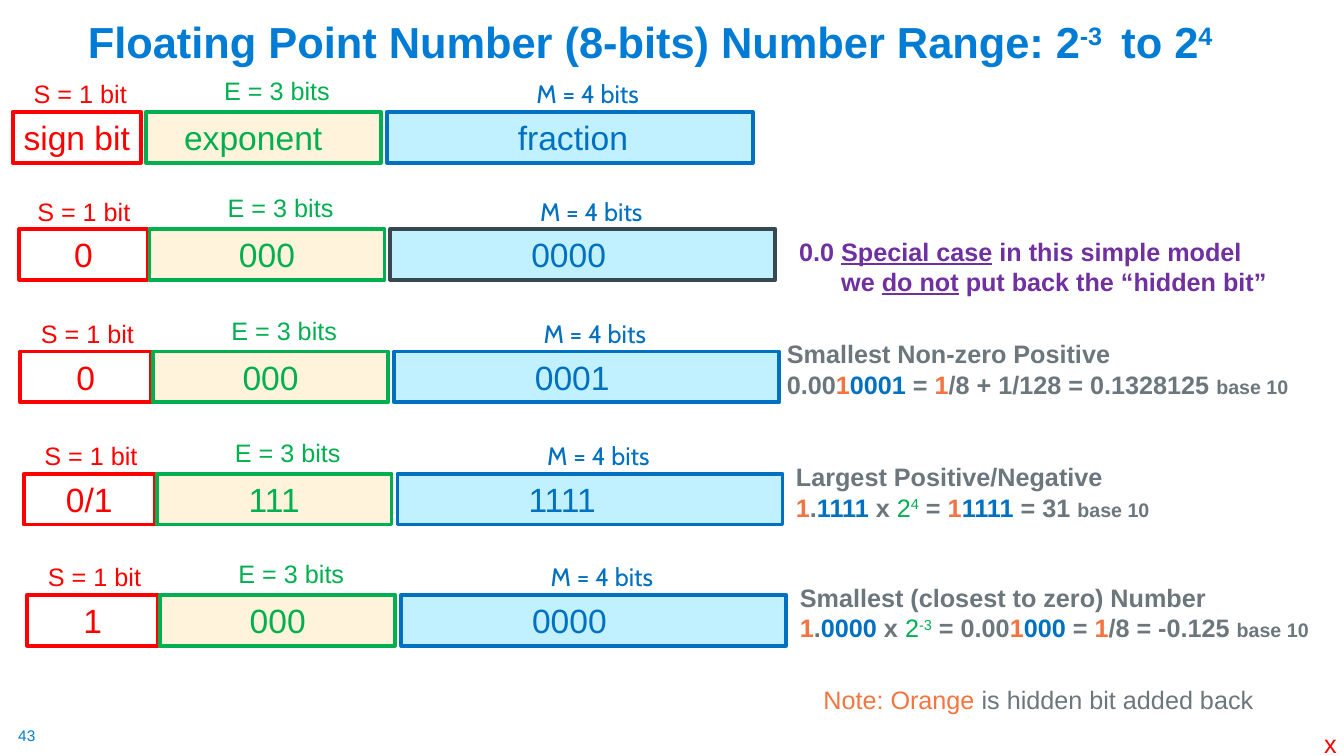
from pptx import Presentation
from pptx.dml.color import RGBColor
from pptx.enum.shapes import MSO_SHAPE
from pptx.enum.text import MSO_ANCHOR, MSO_AUTO_SIZE, PP_ALIGN
from pptx.util import Cm, Pt

RED, GREEN, BLUE = "FF0000", "00B050", "0070C0"
ORANGE, GRAY, PURPLE, TITLE_BLUE = "F37440", "6B767D", "7030A0", "007CD5"
CREAM, SKY, SLATE = "FFF4DB", "C1F0FF", "384851"
FIELD_HEIGHT = 1.28
EXPONENT_WIDTH = 5.92
UNDERLINE = {"underline": True}
SMALL = ("base 10", GRAY, {"size": Pt(14)})


def rgb(color):
    return RGBColor.from_string(color)


def style_font(font, size, color, name="Arial", bold=False):
    font.size = Pt(size)
    font.name = name
    font.bold = bold
    font.color.rgb = rgb(color)


def add_runs(paragraph, runs):
    """Add (text, color, options) runs; a color of None keeps the paragraph's own."""
    for text, color, options in runs:
        run = paragraph.add_run()
        run.text = text
        if color:
            run.font.color.rgb = rgb(color)
        for option, value in options.items():
            if option == "superscript":
                run.font._element.set("baseline", "30000")
            else:
                setattr(run.font, option, value)


def add_text(shapes, box, lines, size=18, color=GRAY, name="Arial", bold=False,
             wrap=False, inset=True, hanging=0):
    """Write lines of runs into the box; lines after the first start at hanging."""
    text_box = shapes.add_textbox(*map(Cm, box))
    frame = text_box.text_frame
    frame.word_wrap = wrap
    if not inset:
        frame.margin_left = frame.margin_right = 0
        frame.margin_top = frame.margin_bottom = 0
    for index, runs in enumerate(lines):
        paragraph = frame.add_paragraph() if index else frame.paragraphs[0]
        if index and hanging:
            paragraph._p.get_or_add_pPr().set("marL", str(int(Cm(hanging))))
        style_font(paragraph.font, size, color, name, bold)
        add_runs(paragraph, runs)


def add_field(shapes, box, text, color, fill=None, border=None, indent=None):
    """Draw one bit field; its text is centred unless an indent is given."""
    shape = shapes.add_shape(MSO_SHAPE.RECTANGLE, *map(Cm, box))
    shape.shadow.inherit = False
    if fill:
        shape.fill.solid()
        shape.fill.fore_color.rgb = rgb(fill)
    else:
        shape.fill.background()
    shape.line.color.rgb = rgb(border or color)
    shape.line.width = Pt(2.75)
    frame = shape.text_frame
    frame.margin_left = Cm(indent or 0)
    frame.margin_right = 0
    frame.vertical_anchor = MSO_ANCHOR.MIDDLE
    paragraph = frame.paragraphs[0]
    paragraph.text = text
    paragraph.alignment = PP_ALIGN.LEFT if indent else PP_ALIGN.CENTER
    style_font(paragraph.font, 24, color)


def add_number(slide, left, top, texts, sign_width=3.3, sign_gap=0.05,
               exponent_indent=None, fraction_width=9.7, fraction_indent=3.3,
               fraction_border=BLUE):
    """Draw a labelled number; left and top place its exponent field."""
    shapes = slide.shapes.add_group_shape().shapes
    sign, exponent, fraction = texts
    add_field(shapes, (left - sign_gap - sign_width, top, sign_width, FIELD_HEIGHT),
              sign, RED)
    add_field(shapes, (left, top, EXPONENT_WIDTH, FIELD_HEIGHT), exponent, GREEN,
              CREAM, indent=exponent_indent)
    add_field(shapes, (left + 6.07, top, fraction_width, FIELD_HEIGHT), fraction,
              BLUE, SKY, fraction_border, fraction_indent)
    labels = [
        ("S = 1 bit", -3.08, -0.96, 2.87, RED, "Arial"),
        ("E = 3 bits", 1.72, -1.04, 3.2, GREEN, "Arial"),
        ("M = 4 bits", 9.59, -0.96, 3.1, BLUE, "Cabin"),
    ]
    for text, across, down, width, color, name in labels:
        add_text(shapes, (left + across, top + down, width, 1.02),
                 [[(text, None, {})]], color=color, name=name)


def add_title(slide, box):
    title = slide.shapes.title
    title.left, title.top, title.width, title.height = map(Cm, box)
    frame = title.text_frame
    frame.auto_size = MSO_AUTO_SIZE.NONE
    frame.vertical_anchor = MSO_ANCHOR.BOTTOM
    paragraph = frame.paragraphs[0]
    paragraph.alignment = PP_ALIGN.LEFT
    paragraph.line_spacing = 0.9
    style_font(paragraph.font, 31, TITLE_BLUE, bold=True)
    raised = {"superscript": True}
    add_runs(paragraph, [
        ("Floating Point Number (8-bits) Number Range: 2", None, {}),
        ("-3 ", None, raised), (" to 2", None, {}), ("4", None, raised),
    ])


def power_of_two(exponent):
    return [("2", GREEN, {"bold": False}),
            (exponent, GREEN, {"bold": False, "superscript": True})]


def add_numbers(slide, left, tops):
    rows = [
        (("sign bit", "exponent", "fraction"),
         {"sign_width": 3.23, "sign_gap": 0.13, "exponent_indent": 0.96,
          "fraction_width": 9.22}),
        (("0", "000", "0000"),
         {"sign_width": 3.23, "fraction_indent": 3.55, "fraction_border": SLATE}),
        (("0", "000", "0001"), {"fraction_indent": 3.55}),
        (("0/1", "111", "1111"), {}),
        (("1", "000", "0000"), {}),
    ]
    for index, (top, (texts, options)) in enumerate(zip(tops, rows)):
        add_number(slide, left + 0.09 * index, top, texts, **options)


def add_explanations(slide):
    shapes = slide.shapes
    add_text(shapes, (19.89, 5.82, 12.6, 1.8), [
        [("0.0 ", None, {}), ("Special case", None, UNDERLINE),
         (" in this simple model", None, {})],
        [("we ", None, {}), ("do not", None, UNDERLINE),
         (" put back the “hidden bit”", None, {})],
    ], color=PURPLE, bold=True, wrap=True, hanging=1.06)
    values = [
        ((19.58, 8.41, 13.4, 1.8), "Smallest Non-zero Positive",
         [("0.00", None, {}), ("1", ORANGE, {}), ("0001", BLUE, {}),
          (" = ", None, {}), ("1", ORANGE, {}),
          ("/8 + 1/128 = 0.1328125 ", None, {})]),
        ((19.81, 11.51, 11.25, 1.8), "Largest Positive/Negative",
         [("1", ORANGE, {}), (".", None, {}), ("1111", BLUE, {}),
          (" x ", None, {}), *power_of_two("4"), (" = ", None, {}),
          ("1", ORANGE, {}), ("1111", BLUE, {}), (" = 31 ", None, {})]),
        ((19.91, 14.55, 13.75, 1.8), "Smallest (closest to zero) Number",
         [("1", ORANGE, {}), (".", None, {}), ("0000", BLUE, {}),
          (" x ", None, {}), *power_of_two("-3"), (" = 0.00", None, {}),
          ("1", ORANGE, {}), ("000", BLUE, {}), (" = ", None, {}),
          ("1", ORANGE, {}), ("/8 = -0.125 ", None, {})]),
    ]
    for box, heading, value in values:
        add_text(shapes, box, [[(heading, None, {})], [*value, SMALL]],
                 bold=True, wrap=True)


def add_footer(slide):
    shapes = slide.shapes
    add_text(shapes, (20.5, 17.12, 11.46, 1.02),
             [[("Note: Orange", "F3753F", {}),
               (" is hidden bit added back", None, {})]])
    add_text(shapes, (0.46, 18.31, 0.48, 0.48), [[("43", None, {})]],
             size=11, color=TITLE_BLUE, inset=False)
    add_text(shapes, (33.12, 18.24, 0.84, 1.02), [[("x", None, {})]], color=RED)


def main():
    presentation = Presentation()
    presentation.slide_width = Cm(33.87)
    presentation.slide_height = Cm(19.05)
    slide = presentation.slides.add_slide(presentation.slide_layouts[5])
    add_title(slide, (1.96, 0.48, 31.37, 1.35))
    add_numbers(slide, 3.68, (2.82, 5.77, 8.86, 11.94, 14.99))
    add_explanations(slide)
    add_footer(slide)
    presentation.save("out.pptx")


if __name__ == "__main__":
    main()
